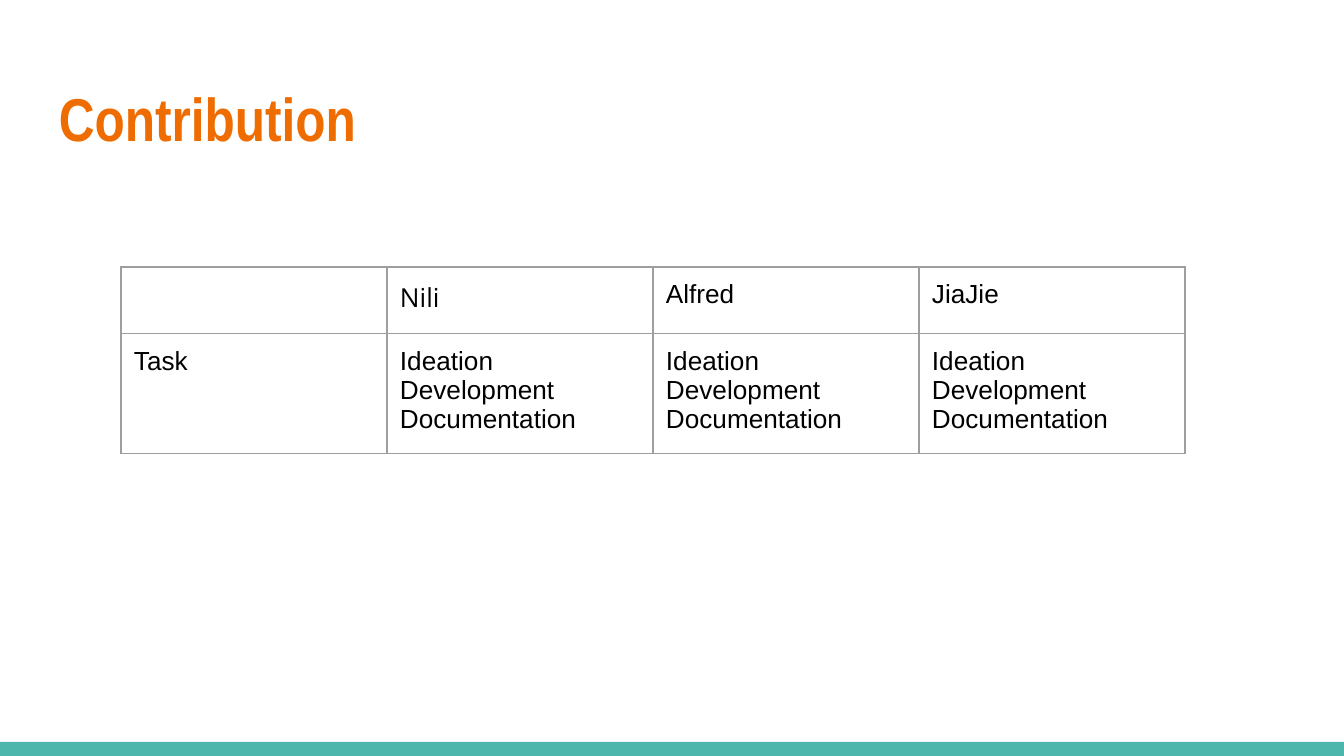
from lxml.etree import SubElement
from pptx import Presentation
from pptx.dml.color import RGBColor
from pptx.enum.shapes import MSO_SHAPE
from pptx.enum.text import MSO_ANCHOR
from pptx.oxml.ns import qn
from pptx.util import Emu, Pt

SCALE = 914400 / 134.4
ORANGE = RGBColor(0xEF, 0x6C, 0x00)
TEAL = RGBColor(0x4D, 0xB6, 0xAC)
GREY = RGBColor(0x9E, 0x9E, 0x9E)
BLACK = RGBColor(0, 0, 0)


def px(*vals):
    return [Emu(round(v * SCALE)) for v in vals]


def write(frame, text, size=14, font="Arial", color=BLACK, bold=False):
    frame.word_wrap = True
    frame.text = text
    for para in frame.paragraphs:
        for run in para.runs:
            run.font.size = Pt(size)
            run.font.name = font
            run.font.color.rgb = color
            run.font.bold = bold


deck = Presentation()
deck.slide_width, deck.slide_height = px(1344, 756)
slide = deck.slides.add_slide(deck.slide_layouts[6])

# Bottom band
band = slide.shapes.add_shape(MSO_SHAPE.RECTANGLE, *px(0, 742, 1344, 14))
band.shadow.inherit = False
band.fill.solid()
band.fill.fore_color.rgb = TEAL
band.line.fill.background()

# Title
title = slide.shapes.add_textbox(*px(46, 66, 1252, 103))
frame = title.text_frame
frame.margin_left, frame.margin_top, frame.margin_right, frame.margin_bottom = px(13, 13, 13, 13)
frame.vertical_anchor = MSO_ANCHOR.MIDDLE
write(frame, "Contribution", size=32.4, font="Arial Narrow", color=ORANGE, bold=True)

# Task table
tasks = "Ideation\nDevelopment\nDocumentation"
rows = [["", "Nili", "Alfred", "JiaJie"], ["Task"] + [tasks] * 3]
table = slide.shapes.add_table(2, 4, *px(121, 267, 1064, 179)).table
table.first_row = table.horz_banding = False
for col in table.columns:
    col.width = px(266)[0]
for row, high in zip(table.rows, px(64, 115)):
    row.height = high

for r, texts in enumerate(rows):
    for c, text in enumerate(texts):
        cell = table.cell(r, c)
        cell.margin_left, cell.margin_top, cell.margin_right, cell.margin_bottom = px(13, 13, 13, 13)
        write(cell.text_frame, text, font="Open Sans" if text == "Nili" else "Arial")
        # Borders come before the fill in the cell properties
        props = cell._tc.get_or_add_tcPr()
        for side in ("a:lnL", "a:lnR", "a:lnT", "a:lnB"):
            line = SubElement(props, qn(side), w=str(Pt(0.75)))
            fill = SubElement(line, qn("a:solidFill"))
            SubElement(fill, qn("a:srgbClr"), val=str(GREY))
        cell.fill.background()

deck.save("out.pptx")
